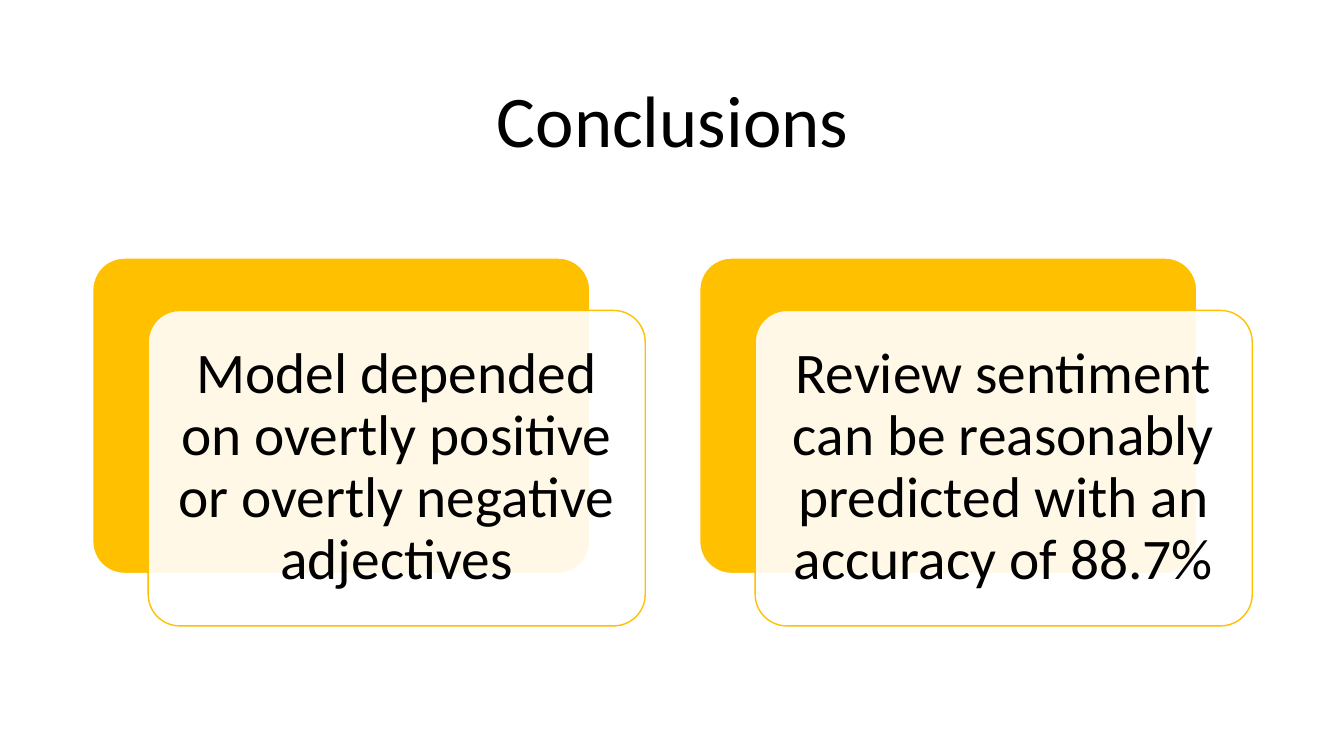
from lxml import etree
from pptx import Presentation
from pptx.dml.color import RGBColor
from pptx.enum.shapes import MSO_SHAPE
from pptx.enum.text import MSO_ANCHOR, MSO_AUTO_SIZE, PP_ALIGN
from pptx.oxml.ns import qn
from pptx.util import Inches, Pt

FONT = "Calibri"
BLACK, WHITE, GOLD = "000000", "FFFFFF", "FFC000"
CARD_WIDTH, CARD_HEIGHT = 4.93, 3.13
FIRST_LEFT, CARD_TOP, CARD_STEP = 0.92, 2.56, 6.02
SHIFT_X, SHIFT_Y = 0.55, 0.52
CONCLUSIONS = [
    "Model depended on overtly positive or overtly negative adjectives",
    "Review sentiment can be reasonably predicted with an accuracy of 88.7%",
]


def color(value):
    return RGBColor.from_string(value)


def write_text(shape, text, size, margin_x, margin_y):
    frame = shape.text_frame
    frame.text = text
    frame.word_wrap = True
    frame.auto_size = MSO_AUTO_SIZE.NONE
    frame.vertical_anchor = MSO_ANCHOR.MIDDLE
    frame.margin_left = frame.margin_right = Inches(margin_x)
    frame.margin_top = frame.margin_bottom = Inches(margin_y)
    para = frame.paragraphs[0]
    para.alignment = PP_ALIGN.CENTER
    para.line_spacing = 0.9
    para.space_before = Pt(0)
    font = para.runs[0].font
    font.name = FONT
    font.size = Pt(size)
    font.color.rgb = color(BLACK)


def add_title(slide, text):
    title = slide.shapes.title
    title.left, title.top = Inches(0.92), Inches(0.61)
    title.width, title.height = Inches(11.5), Inches(1.24)
    write_text(title, text, 52, 0.1, 0.05)


def add_panel(slide, left, top, fill, line):
    panel = slide.shapes.add_shape(
        MSO_SHAPE.ROUNDED_RECTANGLE,
        Inches(left), Inches(top), Inches(CARD_WIDTH), Inches(CARD_HEIGHT),
    )
    panel.adjustments[0] = 0.1
    panel.shadow.inherit = False
    panel.fill.solid()
    panel.fill.fore_color.rgb = color(fill)
    panel.line.color.rgb = color(line)
    panel.line.width = Pt(1)
    return panel


def set_opacity(shape, percent):
    fill_color = shape.fill._xPr.find(qn("a:solidFill"))[0]
    etree.SubElement(fill_color, qn("a:alpha")).set("val", str(percent * 1000))


def add_card(slide, left, text):
    add_panel(slide, left, CARD_TOP, GOLD, WHITE)
    front = add_panel(slide, left + SHIFT_X, CARD_TOP + SHIFT_Y, WHITE, GOLD)
    set_opacity(front, 90)
    write_text(front, text, 41, 0.17, 0.17)


def main():
    deck = Presentation()
    deck.slide_width, deck.slide_height = Inches(13.33), Inches(7.5)
    slide = deck.slides.add_slide(deck.slide_layouts[5])
    add_title(slide, "Conclusions")
    for index, text in enumerate(CONCLUSIONS):
        add_card(slide, FIRST_LEFT + index * CARD_STEP, text)
    deck.save("out.pptx")


if __name__ == "__main__":
    main()
